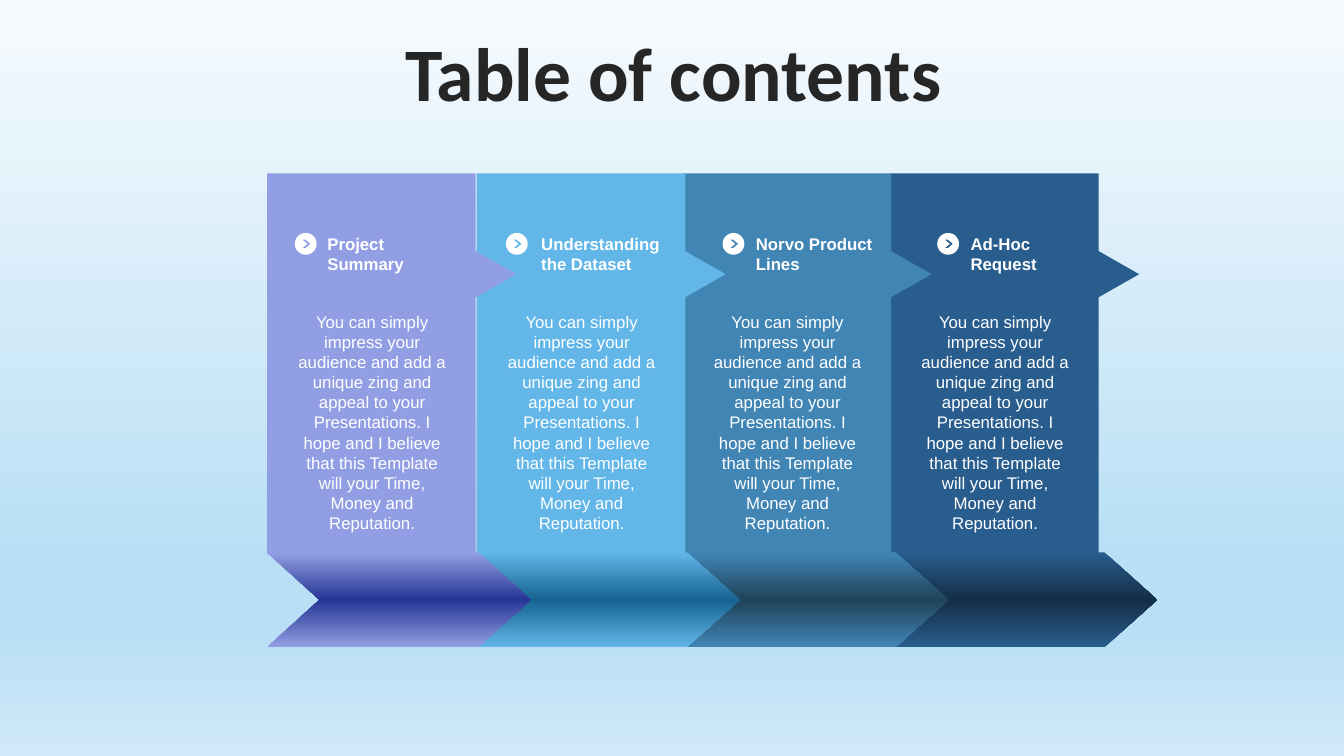
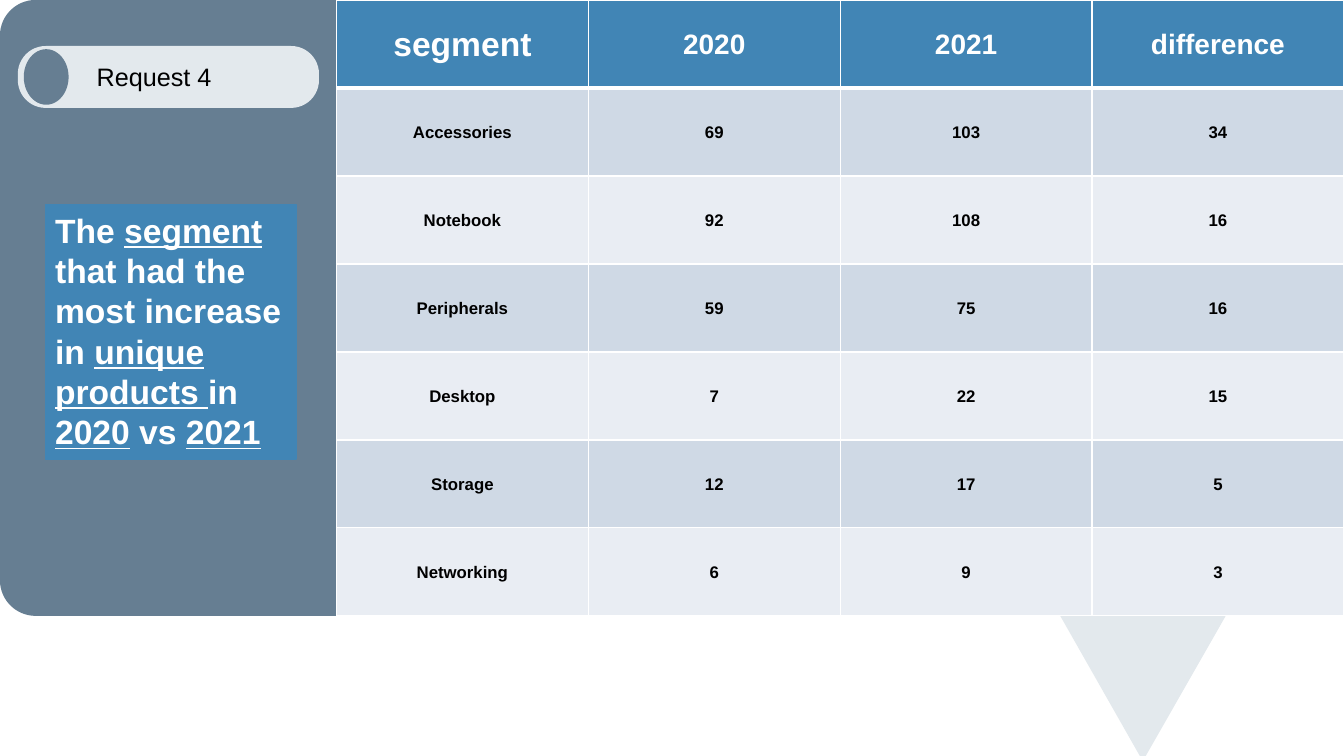
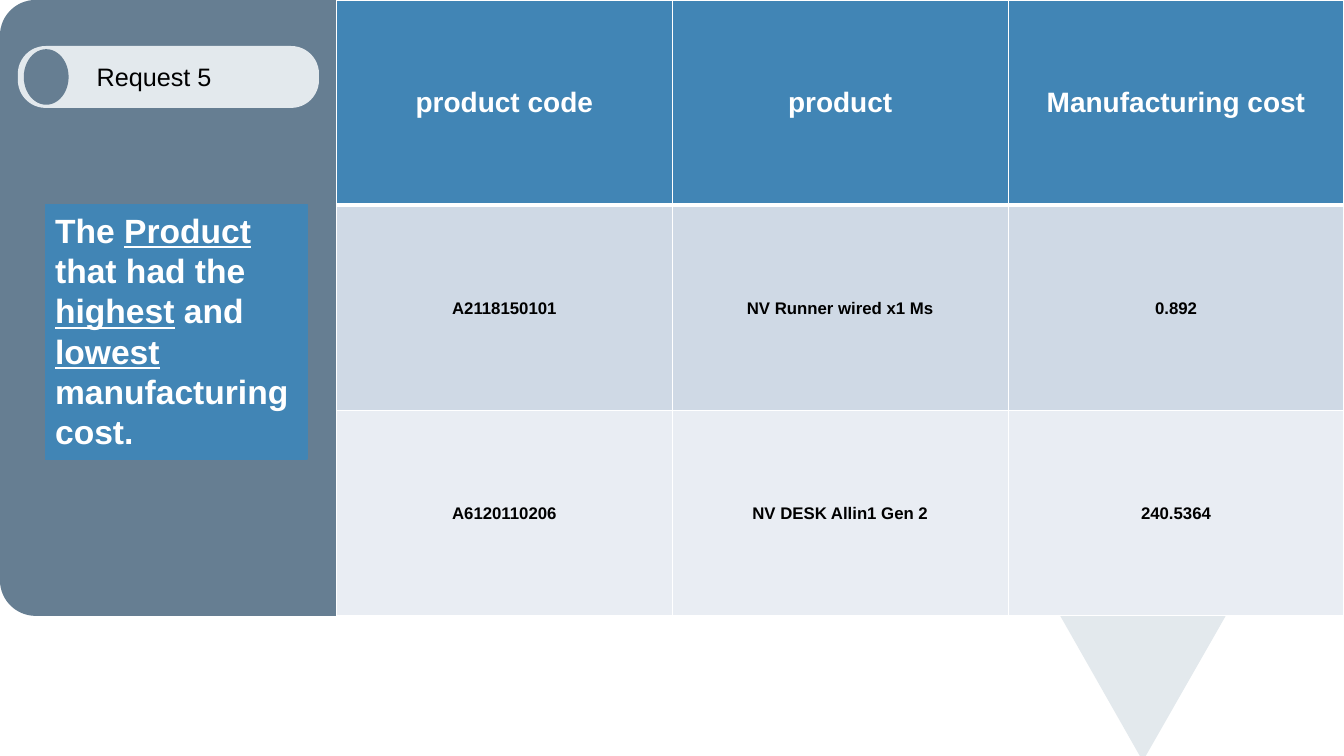
from math import cos, radians, sin

from lxml import etree
from pptx import Presentation
from pptx import util as u
from pptx.dml.color import RGBColor
from pptx.enum import shapes, text
from pptx.oxml.ns import qn

Cm = u.Cm
SHAPE = shapes.MSO_SHAPE
ANCHOR = text.MSO_ANCHOR
ALIGN = text.PP_ALIGN
COLORS = {
    "white": "FFFFFF", "black": "000000", "title": "262626",
    "accent": "4185B5", "slate": "667E92", "mist": "E3E9ED",
    "band_dark": "CFD9E5", "band_light": "E9EDF3",
}


def paint(shape, color):
    shape.shadow.inherit = False
    shape.fill.solid()
    shape.fill.fore_color.rgb = RGBColor.from_string(color)
    shape.line.fill.background()


def style(frame, size, color, bold=False, align=ALIGN.LEFT, anchor=ANCHOR.TOP, font="Arial"):
    frame.word_wrap = True
    frame.vertical_anchor = anchor
    for paragraph in frame.paragraphs:
        paragraph.alignment = align
        for run in paragraph.runs:
            run.font.name = font
            run.font.size = u.Pt(size)
            run.font.bold = bold
            run.font.color.rgb = RGBColor.from_string(COLORS[color])


prs = Presentation()
prs.slide_width, prs.slide_height = Cm(33.87), Cm(19.05)
title_only = prs.slide_layouts[5]

contents = prs.slides.add_slide(title_only)
heading = contents.shapes.title
heading.left, heading.top, heading.width, heading.height = Cm(0.89), Cm(0.94), Cm(32.16), Cm(2)
heading.text_frame.text = "Table of contents"
heading.text_frame.auto_size = text.MSO_AUTO_SIZE.NONE
heading.text_frame.paragraphs[0].line_spacing = 0.9
style(heading.text_frame, 54, "title", True, ALIGN.CENTER, ANCHOR.MIDDLE, "Calibri")

gradients = [(contents.background.fill, contents.element,
              [(0, "F7FBFE"), (74, "B8DFF5"), (83, "B8DFF5"), (100, "D0E9F8")])]

blurb = ("You can simply impress your audience and add a unique zing and appeal to your "
         "Presentations. I hope and I believe that this Template will your Time, Money and Reputation.")
chapters = [
    ("Project Summary", "929EE3", "263694", 6.73, 7.43, 8),
    ("Understanding the Dataset", "62B7E8", "156390", 12.01, 12.75, 13.39),
    ("Norvo Product Lines", "4185B5", "20425A", 17.2, 18.21, 18.8),
    ("Ad-Hoc Request", "285D8D", "142E46", 22.43, 23.62, 24.21),
]
panel_outline = [(0, 4.37), (5.26, 4.37), (5.26, 6.33), (6.28, 6.91),
                 (5.26, 7.49), (5.26, 13.97), (0, 13.97)]

for index, (name, color, shade, left, bullet_left, name_left) in reversed(list(enumerate(chapters))):
    points = [(Cm(left + x), Cm(y)) for x, y in panel_outline]
    builder = contents.shapes.build_freeform(*points[0])
    builder.add_line_segments(points[1:])
    paint(builder.convert_to_shape(), color)

    arrow = contents.shapes.add_shape(
        SHAPE.CHEVRON, Cm(6.73 + 5.26 * index), Cm(13.92), Cm(6.65), Cm(2.39))
    arrow.adjustments[0] = 0.555
    paint(arrow, color)
    gradients.append((arrow.fill, arrow.element, [(0, color), (50, shade), (100, color)]))

    disc = contents.shapes.add_shape(SHAPE.OVAL, Cm(bullet_left), Cm(5.87), Cm(0.55), Cm(0.55))
    paint(disc, COLORS["white"])
    tick = contents.shapes.add_shape(
        SHAPE.CHEVRON, Cm(bullet_left + 0.2), Cm(6.04), Cm(0.19), Cm(0.21))
    tick.adjustments[0] = 0.652
    paint(tick, color)

    chapter_name = contents.shapes.add_textbox(Cm(name_left), Cm(5.75), Cm(3.58), Cm(1.28))
    chapter_name.text_frame.text = name
    style(chapter_name.text_frame, 12, "white", True, anchor=ANCHOR.MIDDLE)
    description = contents.shapes.add_textbox(Cm(left + 0.48), Cm(7.72), Cm(4.34), Cm(5.9))
    description.text_frame.text = blurb
    style(description.text_frame, 12, "white", align=ALIGN.CENTER)

for fill, element, stops in gradients:
    fill.gradient()
    fill.gradient_angle = 270
    stop_list = next(element.iter(qn("a:gsLst")))
    for stop in list(stop_list):
        stop_list.remove(stop)
    for position, color in stops:
        stop = etree.SubElement(stop_list, qn("a:gs"), pos=str(position * 1000))
        etree.SubElement(stop, qn("a:srgbClr"), val=color)

card_width, card_height, side_width, radius = 33.87, 15.52, 8.48, 0.9
corner = [(radius - radius * sin(radians(a)), radius - radius * cos(radians(a)))
          for a in range(0, 91, 6)]
left_edge = corner + [(x, card_height - y) for x, y in reversed(corner)]
right_edge = [(card_width - x, y) for x, y in reversed(left_edge)]
pointer = [(26.72, card_height), (28.8, 19.18), (30.89, card_height)]
card_layers = [
    (left_edge + pointer + right_edge, "mist"),
    (left_edge + [(side_width, card_height), (side_width, 0)], "slate"),
]

requests = [
    ("Request 4", 6.32,
     ["The ", "segment", " that had the most increase in ", "unique products ",
      "in ", "2020", " vs ", "2021"],
     [24, 20, 20, 20],
     [["segment", "2020", "2021", "difference"],
      ["Accessories", "69", "103", "34"],
      ["Notebook", "92", "108", "16"],
      ["Peripherals", "59", "75", "16"],
      ["Desktop", "7", "22", "15"],
      ["Storage", "12", "17", "5"],
      ["Networking", "6", "9", "3"]]),
    ("Request 5", 6.6,
     ["The ", "Product", " that had the ", "highest", " and ", "lowest", " manufacturing cost."],
     [20, 20, 20],
     [["product code", "product", "Manufacturing cost"],
      ["A2118150101", "NV Runner wired x1 Ms", "0.892"],
      ["A6120110206", "NV DESK Allin1 Gen 2", "240.5364"]]),
]

for request, question_width, phrases, header_sizes, rows in requests:
    slide = prs.slides.add_slide(title_only)
    for outline, color in card_layers:
        points = [(Cm(x), Cm(y)) for x, y in outline]
        builder = slide.shapes.build_freeform(*points[0])
        builder.add_line_segments(points[1:])
        paint(builder.convert_to_shape(), COLORS[color])

    pill = slide.shapes.add_shape(SHAPE.ROUNDED_RECTANGLE, Cm(0.45), Cm(1.16), Cm(7.59), Cm(1.56))
    pill.adjustments[0] = 0.45
    paint(pill, COLORS["mist"])
    knob = slide.shapes.add_shape(SHAPE.OVAL, Cm(0.6), Cm(1.24), Cm(1.13), Cm(1.4))
    paint(knob, COLORS["slate"])

    label = slide.shapes.title
    label.element.getparent().append(label.element)
    label.left, label.top, label.width, label.height = Cm(2.18), Cm(1.43), Cm(4.98), Cm(1.03)
    label.text_frame.text = request
    label.text_frame.auto_size = text.MSO_AUTO_SIZE.NONE
    style(label.text_frame, 18, "black")

    question = slide.shapes.add_shape(
        SHAPE.RECTANGLE, Cm(1.14), Cm(5.16), Cm(question_width), Cm(6.41))
    paint(question, COLORS["accent"])
    question.line.color.rgb = RGBColor.from_string(COLORS["accent"])
    question.line.width = u.Pt(1)
    for position, phrase in enumerate(phrases):
        run = question.text_frame.paragraphs[0].add_run()
        run.text = phrase
        run.font.underline = position % 2 == 1
    style(question.text_frame, 24, "white", True)

    answer = slide.shapes.add_table(
        len(rows), len(rows[0]), Cm(side_width), 0,
        Cm(card_width - side_width), Cm(card_height)).table
    for row_index, row in enumerate(rows):
        is_header = row_index == 0
        band = "accent" if is_header else ("band_light", "band_dark")[row_index % 2]
        for column_index, value in enumerate(row):
            cell = answer.cell(row_index, column_index)
            cell.text = value
            cell.margin_left = cell.margin_top = cell.margin_right = Cm(0.02)
            cell.margin_bottom = 0
            cell.vertical_anchor = ANCHOR.MIDDLE
            style(cell.text_frame, header_sizes[column_index] if is_header else 12,
                  "white" if is_header else "black", True, ALIGN.CENTER, ANCHOR.MIDDLE)
            properties = cell._tc.get_or_add_tcPr()
            for side in ("lnL", "lnR", "lnT", "lnB"):
                heavy = (is_header and side == "lnB") or (row_index == 1 and side == "lnT")
                border = etree.SubElement(properties, qn("a:" + side), w=str(u.Pt(3 if heavy else 1)))
                border_fill = etree.SubElement(border, qn("a:solidFill"))
                etree.SubElement(border_fill, qn("a:srgbClr"), val=COLORS["white"])
            cell.fill.solid()
            cell.fill.fore_color.rgb = RGBColor.from_string(COLORS[band])

prs.save("out.pptx")
